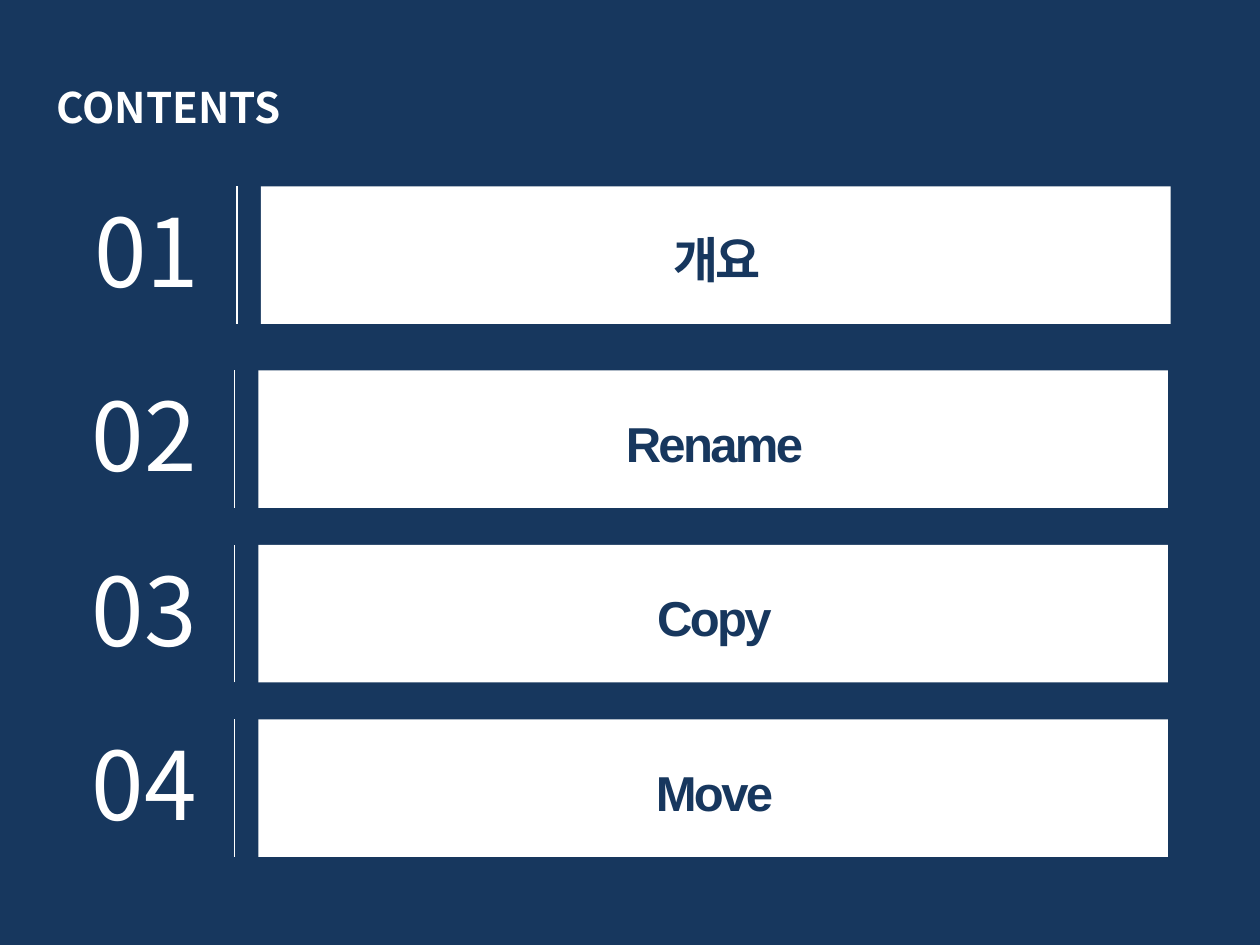
"""Build the contents slide with four numbered entries."""
from pptx import Presentation
from pptx.dml.color import RGBColor as RGB
from pptx.enum.shapes import MSO_CONNECTOR as LINK, MSO_SHAPE as SHAPE
from pptx.enum.text import MSO_ANCHOR as ANCHOR, MSO_AUTO_SIZE as AUTO, PP_ALIGN as ALIGN
from pptx.oxml.ns import qn
from pptx.util import Inches, Pt

NAVY = RGB(0x17, 0x37, 0x5E)
WHITE = RGB(0xFF, 0xFF, 0xFF)
SANS = "Noto Sans CJK KR"
HIGH = 1.09


def add_text(slide, words, box, size, face, color, bold=False, align=ALIGN.LEFT, gap=0):
    frame = slide.shapes.add_textbox(*map(Inches, box)).text_frame
    frame.word_wrap = True
    frame.auto_size = AUTO.SHAPE_TO_FIT_TEXT
    frame.vertical_anchor = ANCHOR.MIDDLE
    para = frame.paragraphs[0]
    para.alignment = align
    run = para.add_run()
    run.text = words
    font = run.font
    font.size, font.bold, font.name = Pt(size), bold, face
    font.color.rgb = color
    props = run._r.get_or_add_rPr()
    props.makeelement(qn("a:ea"), {})
    east = props.makeelement(qn("a:ea"), {"typeface": face})
    props.find(qn("a:latin")).addnext(east)
    if gap:
        props.set("spc", str(int(gap * 100)))


def add_bar(slide, left, top):
    bar = slide.shapes.add_shape(SHAPE.RECTANGLE, *map(Inches, (left, top, 7.22, HIGH)))
    bar.shadow.inherit = False
    bar.fill.solid()
    bar.fill.fore_color.rgb = WHITE
    bar.line.fill.background()


def add_rule(slide, left, top):
    ends = map(Inches, (left, top + HIGH, left, top))
    rule = slide.shapes.add_connector(LINK.STRAIGHT, *ends)
    rule.line.color.rgb = WHITE
    rule.line.width = Pt(0.75)
    props = rule._element.spPr
    props.append(props.makeelement(qn("a:effectLst"), {}))


def add_entry(slide, num, title, left, top):
    add_bar(slide, left + 1.42, top)
    add_text(slide, f"{num:02d}", (left, top, 1.1, 1.01), 54, SANS, WHITE)
    add_rule(slide, left + 1.23, top)
    add_text(slide, title, (left + 1.55, top + 0.29, 6.98, 0.57), 28, "Arial", NAVY,
             bold=True, align=ALIGN.CENTER, gap=-1.5)


def main():
    deck = Presentation()
    deck.slide_width, deck.slide_height = Inches(10), Inches(7.5)
    slide = deck.slides.add_slide(deck.slide_layouts[6])
    slide.background.fill.solid()
    slide.background.fill.fore_color.rgb = NAVY
    add_text(slide, "CONTENTS", (0.35, 0.6, 4.57, 0.5), 24, SANS, WHITE, bold=True)
    add_entry(slide, 1, "개요", 0.65, 1.48)
    for row, title in enumerate(("Rename", "Copy", "Move")):
        add_entry(slide, row + 2, title, 0.63, 2.94 + row * 1.385)
    deck.save("out.pptx")


if __name__ == "__main__":
    main()
